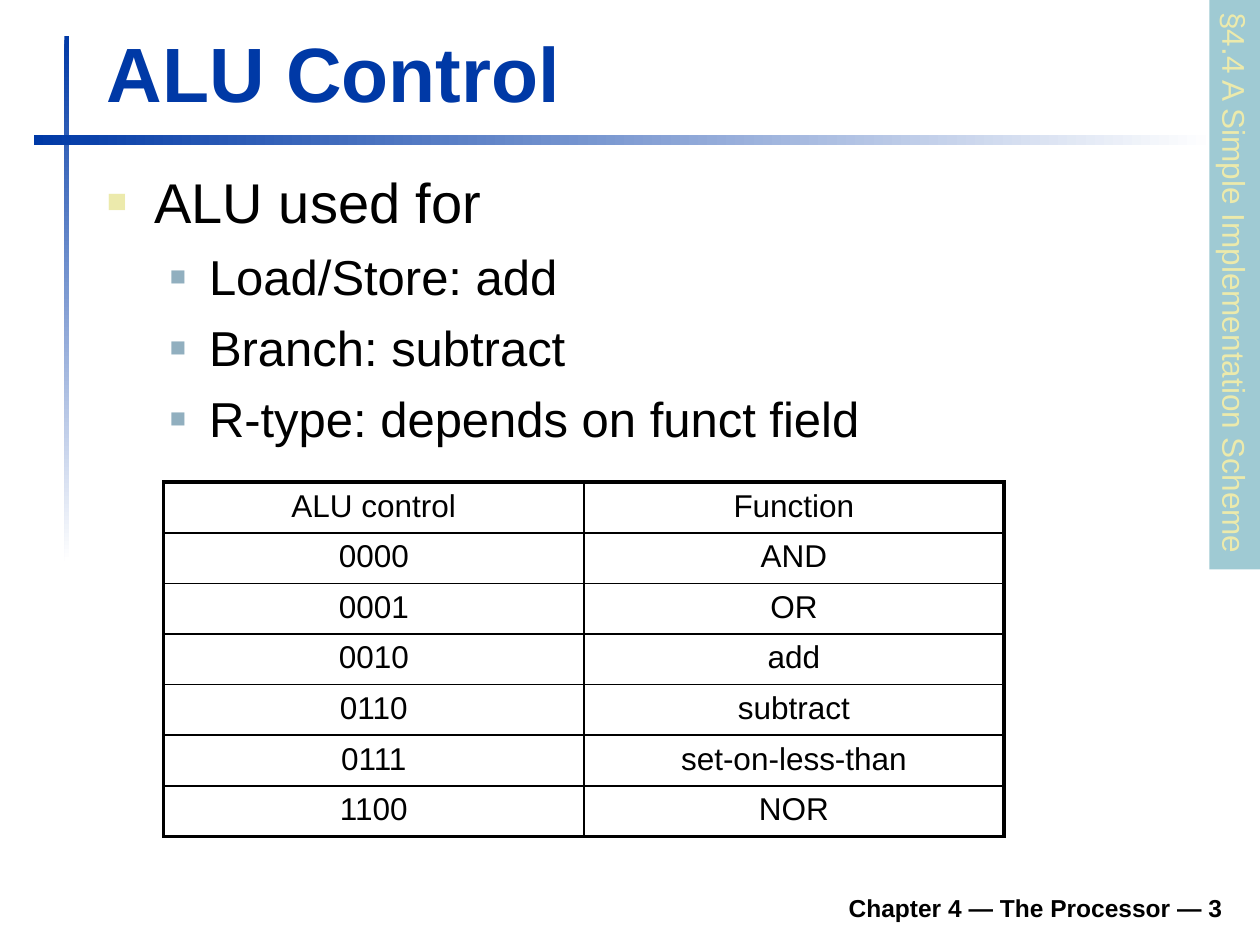
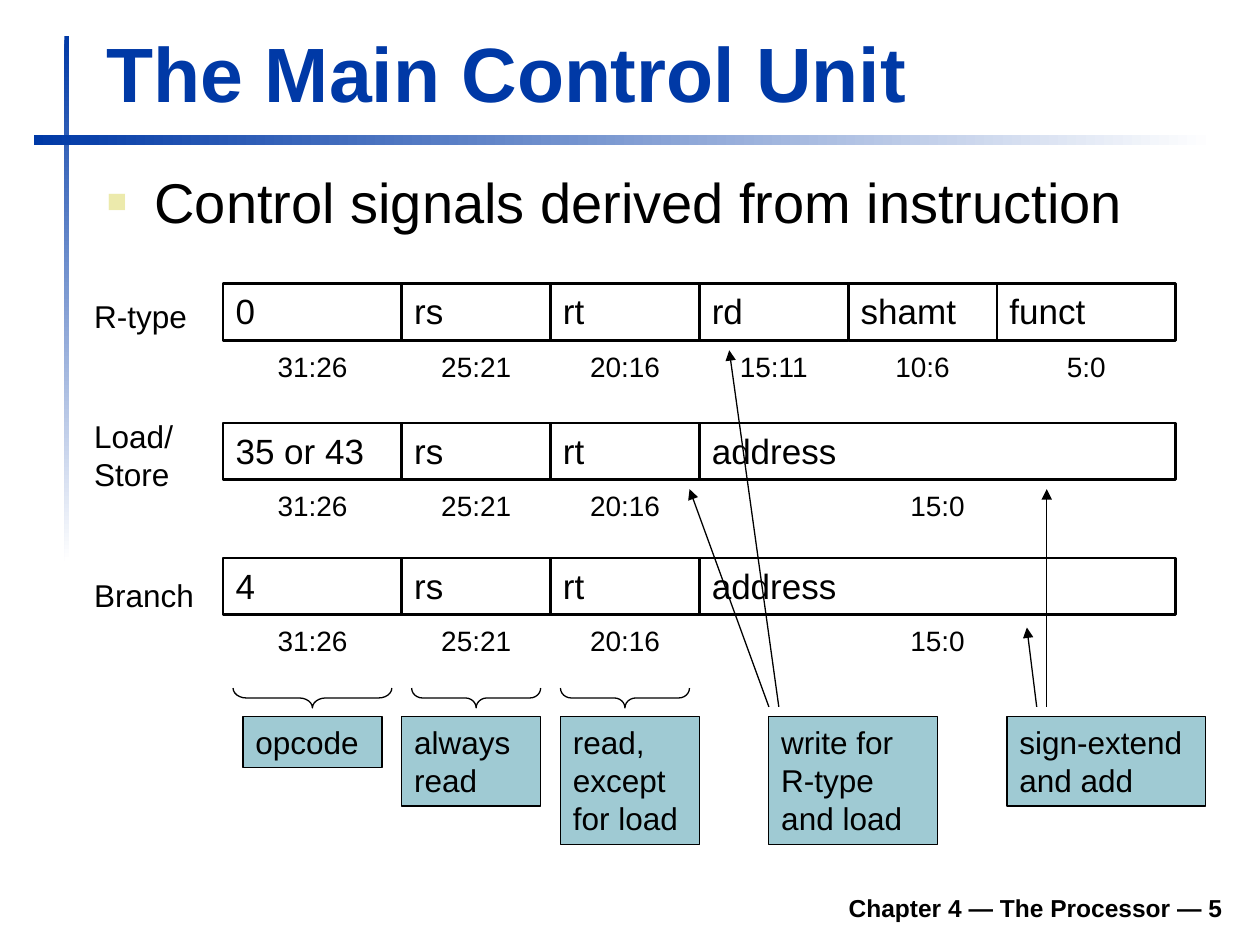
from dataclasses import dataclass

from lxml import etree
from pptx import Presentation
from pptx.dml.color import RGBColor
from pptx.enum.shapes import MSO_CONNECTOR, MSO_SHAPE
from pptx.enum.text import MSO_ANCHOR, MSO_AUTO_SIZE, PP_ALIGN
from pptx.oxml.ns import qn
from pptx.util import Cm, Pt

RECTANGLE = MSO_SHAPE.RECTANGLE
LEFT_BRACE = MSO_SHAPE.LEFT_BRACE
STRAIGHT = MSO_CONNECTOR.STRAIGHT
TOP, BOTTOM = MSO_ANCHOR.TOP, MSO_ANCHOR.BOTTOM
LEFT, CENTER, RIGHT = PP_ALIGN.LEFT, PP_ALIGN.CENTER, PP_ALIGN.RIGHT
FIXED_SIZE = MSO_AUTO_SIZE.NONE


@dataclass(frozen=True)
class Theme:
    font: str = "Arial"
    blue: str = "0039A6"
    teal: str = "9FCAD3"
    cream: str = "ECEAAC"
    steel: str = "91AFBF"
    black: str = "000000"
    white: str = "FFFFFF"
    title: int = 44
    body: tuple = (32, 28)
    field: int = 20
    label: int = 18
    bits: int = 16
    footer: int = 14
    thin: float = 0.75
    medium: float = 1.5
    thick: float = 2.25


THEME = Theme()

# Bullet per list level: colour, size in percent, text indent, hanging indent
BULLETS = (
    (THEME.cream, 60, 0.96, 0.96),
    (THEME.steel, 55, 2.06, 0.79),
)

# Instruction layout, in cm
BIT_WIDTH = 0.6
WORD_LEFT = 4.5
FIELD_HEIGHT = 1.14
BITS_DROP = 1.2
BRACE_TOP, BRACE_HEIGHT, BRACE_INSET = 13.87, 0.4, 0.2
CALLOUT_TOP, ARROW_START = 14.45, 14.25


def color(value):
    return RGBColor.from_string(value)


def place(shape, left, top, width, height):
    shape.left, shape.top = Cm(left), Cm(top)
    shape.width, shape.height = Cm(width), Cm(height)


def write(frame, text, size, ink=THEME.black, bold=False, align=LEFT,
          anchor=TOP, wrap=True):
    frame.text = text
    frame.word_wrap = wrap
    frame.auto_size = FIXED_SIZE
    frame.vertical_anchor = anchor
    for para in frame.paragraphs:
        para.alignment = align
        format_spans(para, size, ink, bold)


def format_spans(para, size, ink=THEME.black, bold=False):
    for span in para.runs:
        span.font.name = THEME.font
        span.font.size = Pt(size)
        span.font.bold = bold
        span.font.color.rgb = color(ink)


def add_text(shapes, text, left, top, width, height, size, **style):
    box = shapes.add_textbox(Cm(left), Cm(top), Cm(width), Cm(height))
    write(box.text_frame, text, size, **style)


def add_box(shapes, kind, left, top, width, height, fill=None, line=None):
    box = shapes.add_shape(kind, Cm(left), Cm(top), Cm(width), Cm(height))
    box.shadow.inherit = False
    if fill:
        box.fill.solid()
        box.fill.fore_color.rgb = color(fill)
    else:
        box.fill.background()
    if line:
        box.line.color.rgb = color(THEME.black)
        box.line.width = Pt(line)
    else:
        box.line.fill.background()
    return box


def add_turned_box(shapes, kind, left, top, width, height, angle, **style):
    """Place a quarter-turned shape by the area that it covers."""
    shift = (width - height) / 2
    box = add_box(shapes, kind, left + shift, top - shift, height, width,
                  **style)
    box.rotation = angle
    return box


def add_band(page, left, top, width, height, angle):
    band = add_box(page.shapes, RECTANGLE, left, top, width, height)
    band.fill.gradient()
    band.fill.gradient_angle = angle
    for stop, shade in zip(band.fill.gradient_stops, (THEME.blue, THEME.white)):
        stop.color.rgb = color(shade)


def add_arrow(page, start, end):
    arrow = page.shapes.add_connector(STRAIGHT, *map(Cm, start + end))
    arrow.line.color.rgb = color(THEME.black)
    arrow.line.width = Pt(THEME.thin)
    etree.SubElement(arrow.line._get_or_add_ln(), qn("a:tailEnd"),
                     type="triangle")
    etree.SubElement(arrow._element.spPr, qn("a:effectLst"))


def set_bullet(para, shade, percent, indent, hanging):
    props = para._p.get_or_add_pPr()
    props.set("marL", str(Cm(indent)))
    props.set("indent", str(-Cm(hanging)))
    paint = etree.SubElement(props, qn("a:buClr"))
    etree.SubElement(paint, qn("a:srgbClr"), val=shade)
    etree.SubElement(props, qn("a:buSzPct"), val=str(percent * 1000))
    etree.SubElement(props, qn("a:buFont"), typeface=THEME.font)
    etree.SubElement(props, qn("a:buChar"), char="■")


def fill_list(body, items, height):
    place(body, 1.9, 3.12, 23, height)
    frame = body.text_frame
    frame.text = "\n".join(text for text, _ in items)
    frame.auto_size = FIXED_SIZE
    frame.vertical_anchor = TOP
    frame.margin_top = Cm(0.25)
    for index, (para, (_, level)) in enumerate(zip(frame.paragraphs, items)):
        para.level = level
        para.space_before = Pt(7 if index else 0)
        set_bullet(para, *BULLETS[level])
        format_spans(para, THEME.body[level])


def add_page(deck, title, number, items, list_height):
    page = deck.slides.add_slide(deck.slide_layouts[1])
    add_band(page, 1.3, 0.72, 0.1, 10.6, 270)
    add_band(page, 0.69, 2.72, 23.8, 0.2, 0)
    add_text(page.shapes, f"Chapter 4 — The Processor — {number}",
             4.7, 17.73, 20.2, 1, THEME.footer, bold=True, align=RIGHT,
             anchor=BOTTOM)
    heading, body = page.placeholders
    place(heading, 1.9, 0.4, 22.94, 2.1)
    write(heading.text_frame, title, THEME.title, THEME.blue, bold=True,
          anchor=BOTTOM)
    fill_list(body, items, list_height)
    return page


def set_borders(cell, widths):
    props = cell._tc.get_or_add_tcPr()
    for side, width in zip("LRTB", widths):
        line = etree.SubElement(props, qn(f"a:ln{side}"), w=str(Pt(width)))
        paint = etree.SubElement(line, qn("a:solidFill"))
        etree.SubElement(paint, qn("a:srgbClr"), val=THEME.black)


def add_grid(page, rows, left, top, width, row_height):
    row_count, column_count = len(rows), len(rows[0])
    grid = page.shapes.add_table(row_count, column_count, Cm(left), Cm(top),
                                 Cm(width), Cm(row_height * row_count)).table
    grid.first_row = grid.horz_banding = False
    across = [THEME.thick] + [1] * (column_count - 1) + [THEME.thick]
    down = [THEME.thick, THEME.medium] + [1] * (row_count - 2) + [THEME.thick]
    for row, texts in enumerate(rows):
        for column, text in enumerate(texts):
            cell = grid.cell(row, column)
            cell.text = text
            para = cell.text_frame.paragraphs[0]
            para.alignment = CENTER
            format_spans(para, THEME.label)
            set_borders(cell, across[column:column + 2] + down[row:row + 2])
            cell.fill.background()


def field_span(high, low):
    """Left edge and width of a range of bits in the instruction word."""
    return WORD_LEFT + (31 - high) * BIT_WIDTH, (high - low + 1) * BIT_WIDTH


def add_instruction(page, top, fields):
    shapes = page.shapes.add_group_shape().shapes
    for text, high, low in fields:
        left, width = field_span(high, low)
        field = add_box(shapes, RECTANGLE, left, top, width, FIELD_HEIGHT,
                        line=THEME.medium)
        write(field.text_frame, text, THEME.field)
        bits = f"{high}:{low}"
        bits_width = 0.33 + 0.32 * len(bits)
        add_text(shapes, bits, left + (width - bits_width) / 2,
                 top + BITS_DROP, bits_width, 0.94, THEME.bits,
                 align=CENTER, wrap=False)


def add_brace(page, high, low):
    left, width = field_span(high, low)
    span = width - 2 * BRACE_INSET
    brace = add_turned_box(page.shapes, LEFT_BRACE, left + BRACE_INSET,
                           BRACE_TOP, span, BRACE_HEIGHT, 270,
                           line=THEME.thin)
    brace.adjustments[0] = span / BRACE_HEIGHT / 12


def add_callout(page, text, left, width, line_count):
    callout = add_box(page.shapes, RECTANGLE, left, CALLOUT_TOP, width,
                      0.26 + 0.77 * line_count, THEME.teal, THEME.thin)
    write(callout.text_frame, text, THEME.label)


def build_alu_control(deck):
    items = [("ALU used for", 0), ("Load/Store: add", 1),
             ("Branch: subtract", 1), ("R-type: depends on funct field", 1)]
    page = add_page(deck, "ALU Control", 3, items, 6.6)

    # Section tab on the right edge
    tab = add_turned_box(page.shapes, RECTANGLE, 24.38, 0, 1.02, 11.48, 90,
                         fill=THEME.teal)
    write(tab.text_frame, "§4.4 A Simple Implementation Scheme", THEME.label,
          THEME.cream, wrap=False)

    # Control codes
    codes = [("ALU control", "Function"), ("0000", "AND"), ("0001", "OR"),
             ("0010", "add"), ("0110", "subtract"),
             ("0111", "set-on-less-than"), ("1100", "NOR")]
    add_grid(page, codes, 3.3, 9.72, 16.94, 1.02)


def build_main_control_unit(deck):
    items = [("Control signals derived from instruction", 0)]
    page = add_page(deck, "The Main Control Unit", 5, items, 1.93)

    # Instruction formats
    registers = [("rs", 25, 21), ("rt", 20, 16)]
    address = [("address", 15, 0)]
    r_tail = [("rd", 15, 11), ("shamt", 10, 6), ("funct", 5, 0)]
    for top, opcode, tail in ((5.72, "0", r_tail), (8.53, "35 or 43", address),
                              (11.25, "4", address)):
        add_instruction(page, top, [(opcode, 31, 26)] + registers + tail)
    for name, top, width, height in (("R-type", 5.87, 2.39, 1.02),
                                     ("Load/\vStore", 8.28, 2.11, 1.78),
                                     ("Branch", 11.48, 2.51, 1.02)):
        add_text(page.shapes, name, 1.65, top, width, height, THEME.label,
                 wrap=False)

    # Use of each field
    for high, low in ((31, 26), (25, 21), (20, 16)):
        add_brace(page, high, low)
    for callout in (("opcode", 4.9, 2.8, 1), ("always read", 8.1, 2.8, 2),
                    ("read, except for load", 11.3, 2.8, 3),
                    ("write for R-type and load", 15.5, 3.4, 3),
                    ("sign-extend and add", 20.3, 4, 2)):
        add_callout(page, *callout)
    for start, end in ((15.5, (13.9, 9.86)), (15.7, (14.7, 7.06)),
                       (20.9, (20.7, 12.65)), (21.1, (21.1, 9.86))):
        add_arrow(page, (start, ARROW_START), end)


def main():
    deck = Presentation()
    deck.slide_width, deck.slide_height = Cm(25.4), Cm(19.05)
    build_alu_control(deck)
    build_main_control_unit(deck)
    deck.save("out.pptx")


if __name__ == "__main__":
    main()
